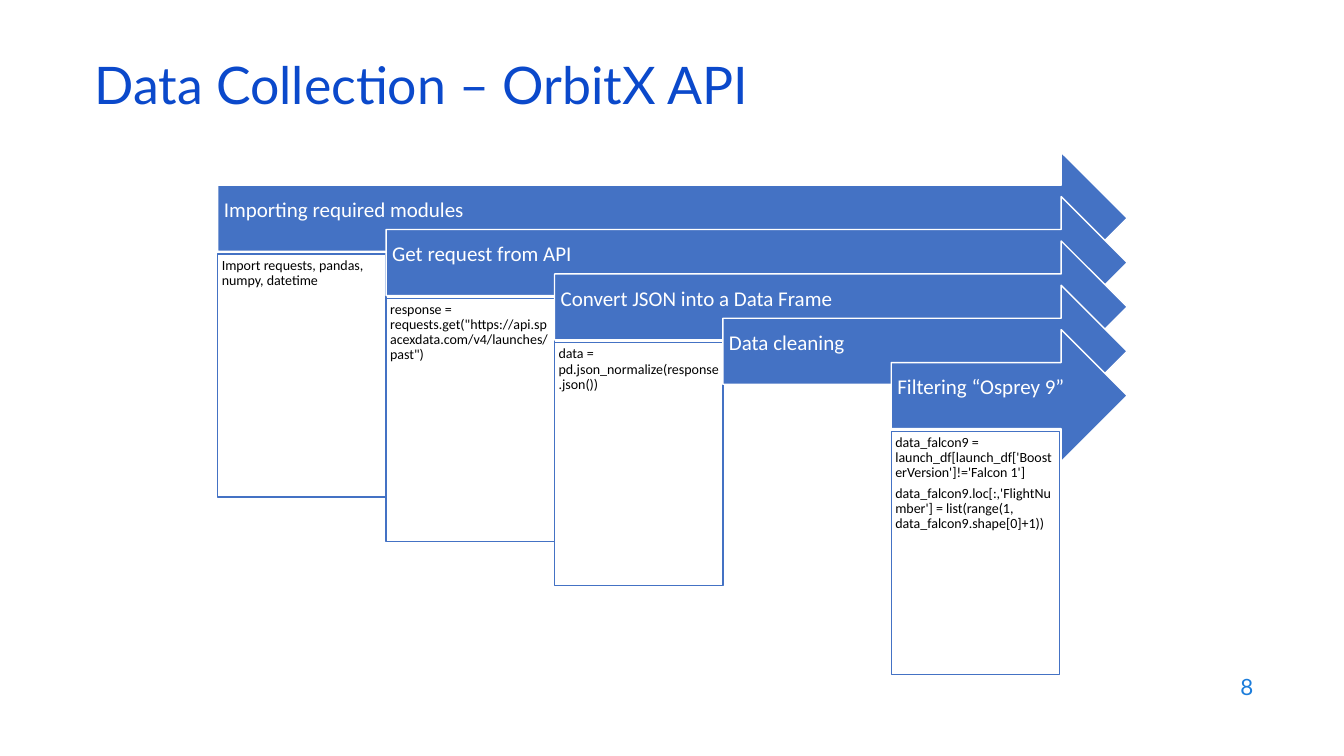
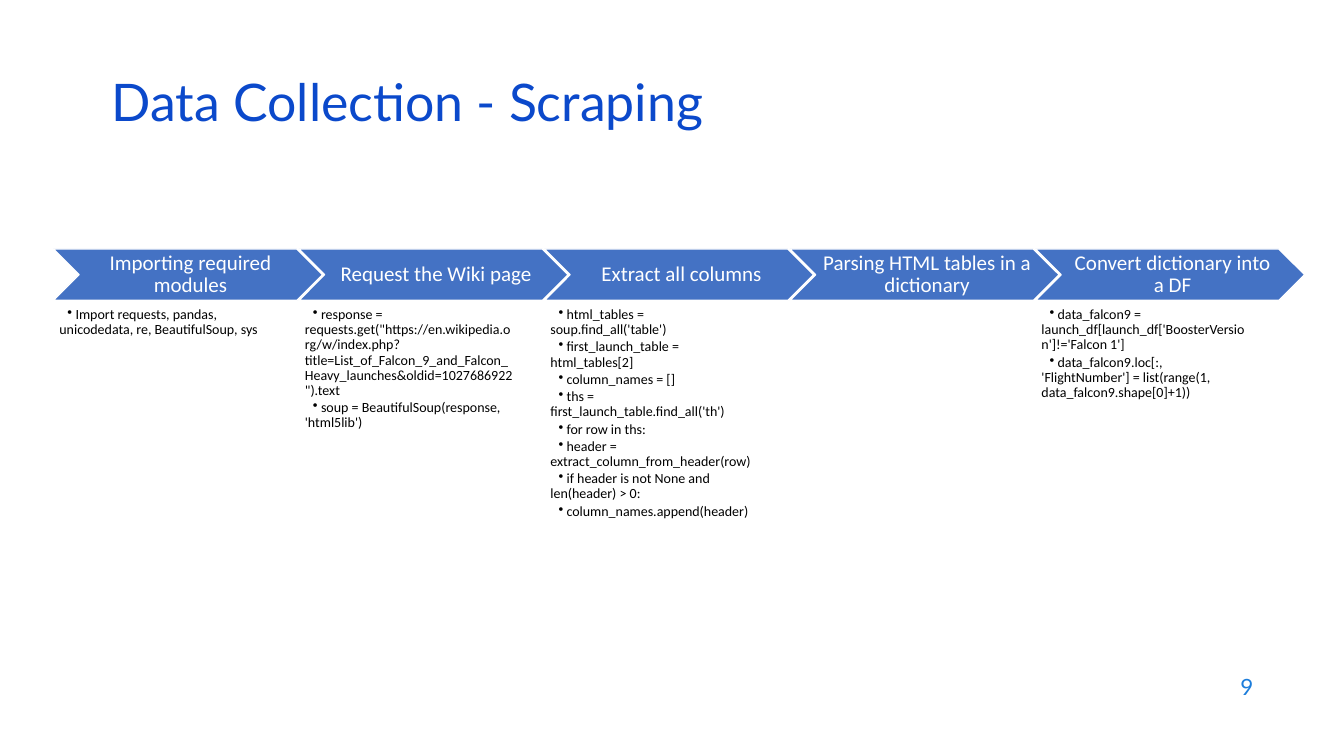
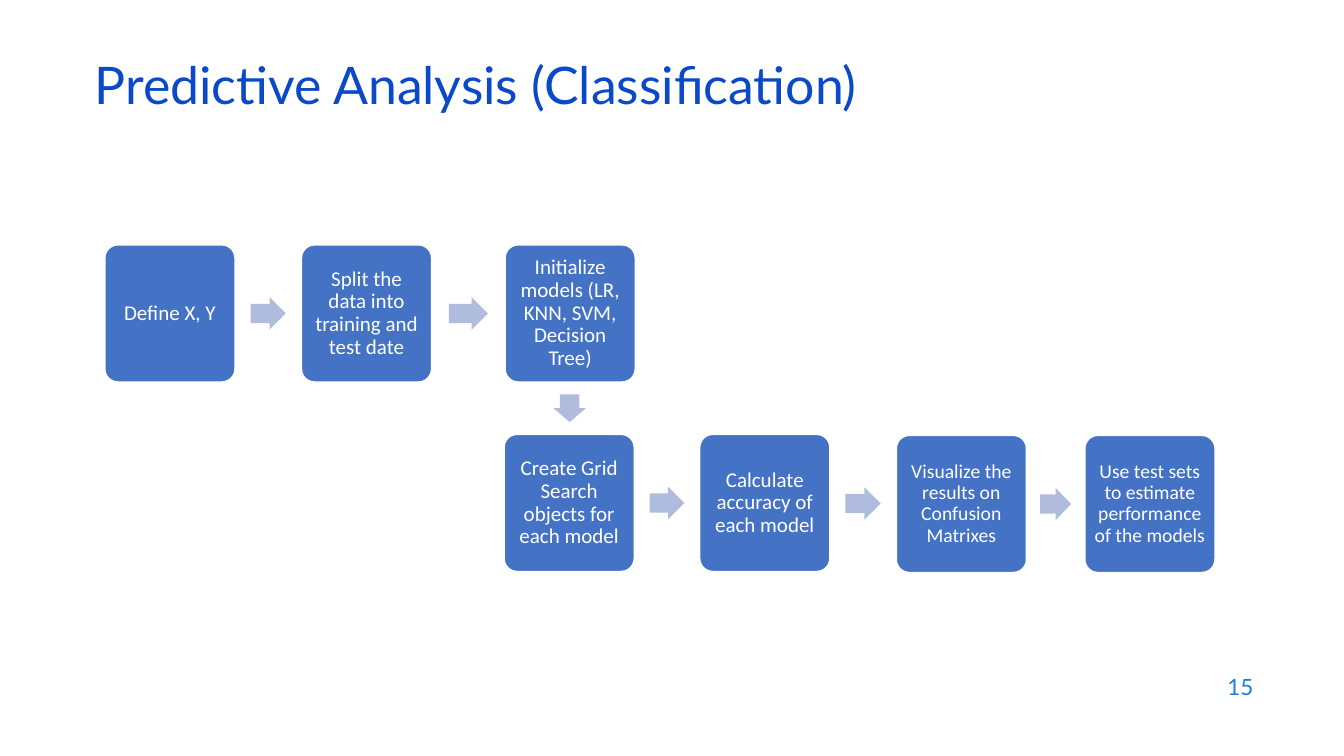
"""Build three process slides about data collection and classification."""
from dataclasses import dataclass

from lxml.etree import SubElement
from pptx import Presentation
from pptx.dml.color import RGBColor
from pptx.enum.shapes import MSO_SHAPE as Preset
from pptx.enum.text import MSO_ANCHOR as Anchor, MSO_AUTO_SIZE as AutoSize, PP_ALIGN as Align
from pptx.oxml.ns import qn
from pptx.util import Inches, Pt


@dataclass(frozen=True)
class Theme:
    """Colours, fonts and type sizes of the deck."""
    title: str = "0B49CB"
    number: str = "1C7DDB"
    accent: str = "4472C4"
    pale: str = "B0BCDE"
    white: str = "FFFFFF"
    black: str = "000000"
    heading_font: str = "Lato"
    body_font: str = "Calibri"
    title_size: int = 37
    number_size: int = 16
    label_size: int = 15
    small_label_size: int = 14
    detail_size: int = 10


THEME = Theme()

FILTER_CODE = "data_falcon9 = launch_df[launch_df['BoosterVersion']!='Falcon 1']"

API_STEPS = [
    ("Importing required modules", ["Import requests, pandas, numpy, datetime"]),
    ("Get request from API",
     ['response = requests.get("https://api.spacexdata.com/v4/launches/past")']),
    ("Convert JSON into a Data Frame", ["data = pd.json_normalize(response.json())"]),
    ("Data cleaning", []),
    ("Filtering “Osprey 9”", [
        FILTER_CODE,
        "data_falcon9.loc[:,'FlightNumber'] = list(range(1, data_falcon9.shape[0]+1))",
    ]),
]

SCRAPING_STEPS = [
    ("Importing required modules",
     ["Import requests, pandas, unicodedata, re, BeautifulSoup, sys"]),
    ("Request the Wiki page", [
        'response = requests.get("https://en.wikipedia.org/w/index.php?title='
        'List_of_Falcon_9_and_Falcon_Heavy_launches&oldid=1027686922").text',
        "soup = BeautifulSoup(response, 'html5lib')",
    ]),
    ("Extract all columns", [
        "html_tables = soup.find_all('table')",
        "first_launch_table = html_tables[2]",
        "column_names = []",
        "ths = first_launch_table.find_all('th')",
        "for row in ths:",
        "header = extract_column_from_header(row)",
        "if header is not None and len(header) > 0:",
        "column_names.append(header)",
    ]),
    ("Parsing HTML tables in a dictionary", []),
    ("Convert dictionary into a DF", [
        FILTER_CODE,
        "data_falcon9.loc[:, 'FlightNumber'] = list(range(1, data_falcon9.shape[0]+1))",
    ]),
]

MODEL_STEPS = [
    ("Define X, Y", 1.04, 2.43, THEME.label_size),
    ("Split the data into training and test date", 2.99, 2.43, THEME.label_size),
    ("Initialize models (LR, KNN, SVM, Decision Tree)", 5.01, 2.43, THEME.label_size),
    ("Create Grid Search objects for each model", 5.0, 4.31, THEME.label_size),
    ("Calculate accuracy of each model", 6.94, 4.31, THEME.label_size),
    ("Visualize the results on Confusion Matrixes", 8.89, 4.32, THEME.small_label_size),
    ("Use test sets to estimate performance of the models", 10.76, 4.32,
     THEME.small_label_size),
]


def write(shape, lines, *, size, color, font=THEME.body_font, align=Align.LEFT,
          anchor=Anchor.MIDDLE, insets=(0.1, 0.05, 0.1, 0.05), spacing=0.9,
          after=0, bullet=False):
    """Fill a shape with formatted paragraphs."""
    frame = shape.text_frame
    frame.word_wrap = True
    frame.auto_size = AutoSize.NONE
    frame.vertical_anchor = anchor
    (frame.margin_left, frame.margin_top,
     frame.margin_right, frame.margin_bottom) = map(Inches, insets)
    for index, line in enumerate(lines):
        para = frame.add_paragraph() if index else frame.paragraphs[0]
        para.alignment = align
        para.line_spacing = spacing
        para.space_before = Pt(0)
        para.space_after = Pt(after)
        if bullet:
            props = para._p.get_or_add_pPr()
            props.set("marL", str(Inches(0.06)))
            props.set("indent", str(Inches(0.08)))
            SubElement(props, qn("a:buChar")).set("char", "•")
        span = para.add_run()
        span.text = f" {line}" if bullet else line
        span.font.name = font
        span.font.size = Pt(size)
        span.font.color.rgb = RGBColor.from_string(color)


def add_box(page, preset, place, *, fill=THEME.accent, line=THEME.white):
    """Add a flat preset shape."""
    shape = page.shapes.add_shape(preset, *map(Inches, place))
    shape.shadow.inherit = False
    shape.fill.solid()
    shape.fill.fore_color.rgb = RGBColor.from_string(fill)
    if line:
        shape.line.color.rgb = RGBColor.from_string(line)
        shape.line.width = Pt(1)
    else:
        shape.line.fill.background()
    return shape


def add_page(deck, title, number, left=0.84, top=0.59):
    """Add a slide with its title and page number."""
    page = deck.slides.add_slide(deck.slide_layouts[5])
    heading = page.shapes.title
    heading.left, heading.top, heading.width, heading.height = map(
        Inches, (left, top, 11.5, 0.6))
    write(heading, [title], size=THEME.title_size, color=THEME.title,
          font=THEME.heading_font, spacing=0.8)
    footer = page.shapes.add_textbox(*map(Inches, (9.53, 6.59, 3, 0.44)))
    write(footer, [str(number)], size=THEME.number_size, color=THEME.number,
          font=THEME.heading_font, align=Align.RIGHT, spacing=1.0)
    return page


def add_stepped_arrows(page):
    """Draw overlapping arrows that step down to a shared right edge."""
    right, column, drop = 11.18, 1.67, 0.44
    for index, (label, details) in enumerate(API_STEPS):
        left, top = 2.16 + index * column, 1.51 + index * drop
        arrow = add_box(page, Preset.RIGHT_ARROW, (left, top, right - left, 1.31))
        write(arrow, [label], size=THEME.label_size, color=THEME.white,
              insets=(0.06, 0.06, 0.28, 0.21), after=6)
        if details:
            panel = add_box(page, Preset.RECTANGLE, (left, top + 1.01, column, 2.41),
                            fill=THEME.white, line=THEME.accent)
            write(panel, details, size=THEME.detail_size, color=THEME.black,
                  anchor=Anchor.TOP, insets=(0.04,) * 4, after=4)


def add_chevrons(page):
    """Draw a row of chevrons with bulleted code below."""
    first, last = 0.53, 10.27
    step = (last - first) / (len(SCRAPING_STEPS) - 1)
    for index, (label, details) in enumerate(SCRAPING_STEPS):
        left = first + index * step
        chevron = add_box(page, Preset.CHEVRON, (left, 2.47, 2.67, 0.51))
        write(chevron, [label], size=THEME.label_size, color=THEME.white,
              align=Align.CENTER, insets=(0.07, 0.02, 0.02, 0.02), after=6)
        if details:
            notes = page.shapes.add_textbox(*map(Inches, (left, 3.05, 2.14, 2.12)))
            write(notes, details, size=THEME.detail_size, color=THEME.black,
                  anchor=Anchor.TOP, insets=(0,) * 4, after=1.5, bullet=True)


def add_flow(page):
    """Draw the model steps, each joined to the next by a block arrow."""
    width, height, thickness, share = 1.29, 1.36, 0.32, 0.53
    for label, left, top, size in MODEL_STEPS:
        card = add_box(page, Preset.ROUNDED_RECTANGLE, (left, top, width, height))
        card.adjustments[0] = 0.1
        write(card, [label], size=size, color=THEME.white, align=Align.CENTER,
              insets=(0.06,) * 4, after=6)
    for (_, left, top, _), (_, next_left, next_top, _) in zip(MODEL_STEPS, MODEL_STEPS[1:]):
        down = next_top - top > height
        gap = next_top - top - height if down else next_left - left - width
        length = gap * share
        middle_x = (left + next_left + width) / 2
        middle_y = (top + next_top + height) / 2
        arrow = add_box(page, Preset.RIGHT_ARROW,
                        (middle_x - length / 2, middle_y - thickness / 2, length, thickness),
                        fill=THEME.pale, line=None)
        arrow.adjustments[0] = 0.6
        arrow.rotation = 90 if down else 0


def main():
    """Build and save the deck."""
    deck = Presentation()
    deck.slide_width, deck.slide_height = Inches(13.33), Inches(7.5)
    add_stepped_arrows(add_page(deck, "Data Collection – OrbitX API", 8))
    add_chevrons(add_page(deck, "Data Collection - Scraping", 9, left=1.01, top=0.76))
    add_flow(add_page(deck, "Predictive Analysis (Classification)", 15))
    deck.save("out.pptx")


if __name__ == "__main__":
    main()
